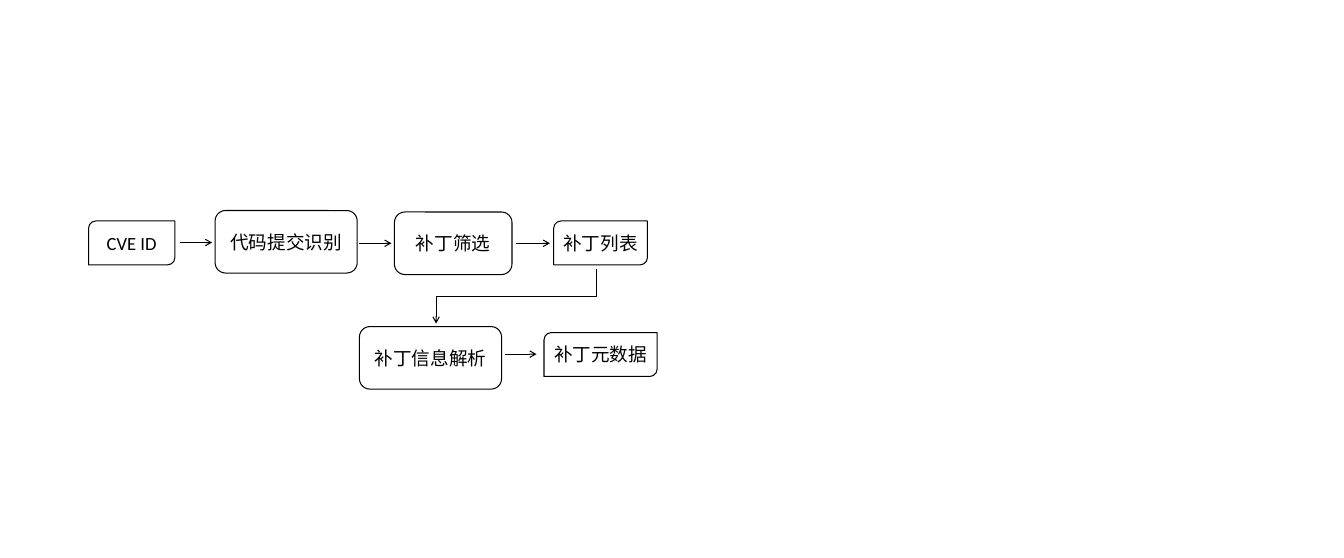
from dataclasses import dataclass

from lxml import etree
from pptx import Presentation
from pptx.dml.color import RGBColor
from pptx.enum.shapes import MSO_CONNECTOR, MSO_SHAPE
from pptx.enum.text import MSO_ANCHOR, PP_ALIGN
from pptx.oxml.ns import qn
from pptx.slide import Slide
from pptx.util import Inches, Pt

STEP = MSO_SHAPE.ROUNDED_RECTANGLE
DATA = MSO_SHAPE.ROUND_2_DIAG_RECTANGLE
LINE = MSO_CONNECTOR.STRAIGHT
BENT = MSO_CONNECTOR.ELBOW
MIDDLE = MSO_ANCHOR.MIDDLE
CENTER = PP_ALIGN.CENTER

COLORS = {"ink": "000000"}
FONT = "Calibri"
HIGH = {STEP: 0.84, DATA: 0.59}


@dataclass
class Box:
    text: str
    kind: int
    left: float
    top: float
    width: float


@dataclass
class Arrow:
    left: float
    right: float
    y: float


BOXES = [
    # Upper row
    Box("CVE ID", DATA, 1.19, 2.97, 1.16),
    Box("代码提交识别", STEP, 2.89, 2.83, 1.91),
    Box("补丁筛选", STEP, 5.3, 2.85, 1.58),
    Box("补丁列表", DATA, 7.44, 2.97, 1.26),
    # Lower row
    Box("补丁信息解析", STEP, 4.83, 4.39, 1.91),
    Box("补丁元数据", DATA, 7.31, 4.47, 1.52),
]

ARROWS = [
    Arrow(2.42, 2.85, 3.26),
    Arrow(4.83, 5.26, 3.27),
    Arrow(6.93, 7.39, 3.27),
    Arrow(6.79, 7.21, 4.76),
]


def ink() -> RGBColor:
    return RGBColor.from_string(COLORS["ink"])


def draw_box(slide: Slide, box: Box) -> None:
    shape = slide.shapes.add_shape(
        box.kind, Inches(box.left), Inches(box.top),
        Inches(box.width), Inches(HIGH[box.kind]))
    shape.shadow.inherit = False
    shape.fill.background()
    shape.line.color.rgb = ink()
    shape.line.width = Pt(1)
    frame = shape.text_frame
    frame.text = box.text
    frame.word_wrap = True
    frame.vertical_anchor = MIDDLE
    para = frame.paragraphs[0]
    para.alignment = CENTER
    font = para.runs[0].font
    font.name = FONT
    font.size = Pt(18)
    font.color.rgb = ink()


def draw_link(slide: Slide, kind: int, x1: float, y1: float,
              x2: float, y2: float, turn: int = 0) -> None:
    link = slide.shapes.add_connector(
        kind, Inches(x1), Inches(y1), Inches(x2), Inches(y2))
    link.line.color.rgb = ink()
    link.line.width = Pt(1)
    props = link._element.spPr
    # Open arrowhead, no shadow
    etree.SubElement(props.find(qn("a:ln")), qn("a:tailEnd"), type="arrow")
    etree.SubElement(props, qn("a:effectLst"))
    if turn:
        props.find(qn("a:xfrm")).set("rot", str(turn * 60000))


def draw_drop(slide: Slide, x1: float, y1: float,
              x2: float, y2: float) -> None:
    """Link that leaves downwards: a sideways elbow turned by 90 degrees."""
    mid_x, mid_y = (x1 + x2) / 2, (y1 + y2) / 2
    half_w, half_h = (y2 - y1) / 2, (x1 - x2) / 2
    draw_link(slide, BENT, mid_x - half_w, mid_y - half_h,
              mid_x + half_w, mid_y + half_h, 90)


def main() -> None:
    deck = Presentation()
    deck.slide_width = Inches(18.06)
    deck.slide_height = Inches(7.5)
    slide = deck.slides.add_slide(deck.slide_layouts[6])

    # Steps and data
    for box in BOXES:
        draw_box(slide, box)

    # Flow within the rows
    for arrow in ARROWS:
        draw_link(slide, LINE, arrow.left, arrow.y, arrow.right, arrow.y)

    # Flow from the upper row to the lower one
    draw_drop(slide, 8.01, 3.61, 5.86, 4.35)

    deck.save("out.pptx")


if __name__ == "__main__":
    main()
